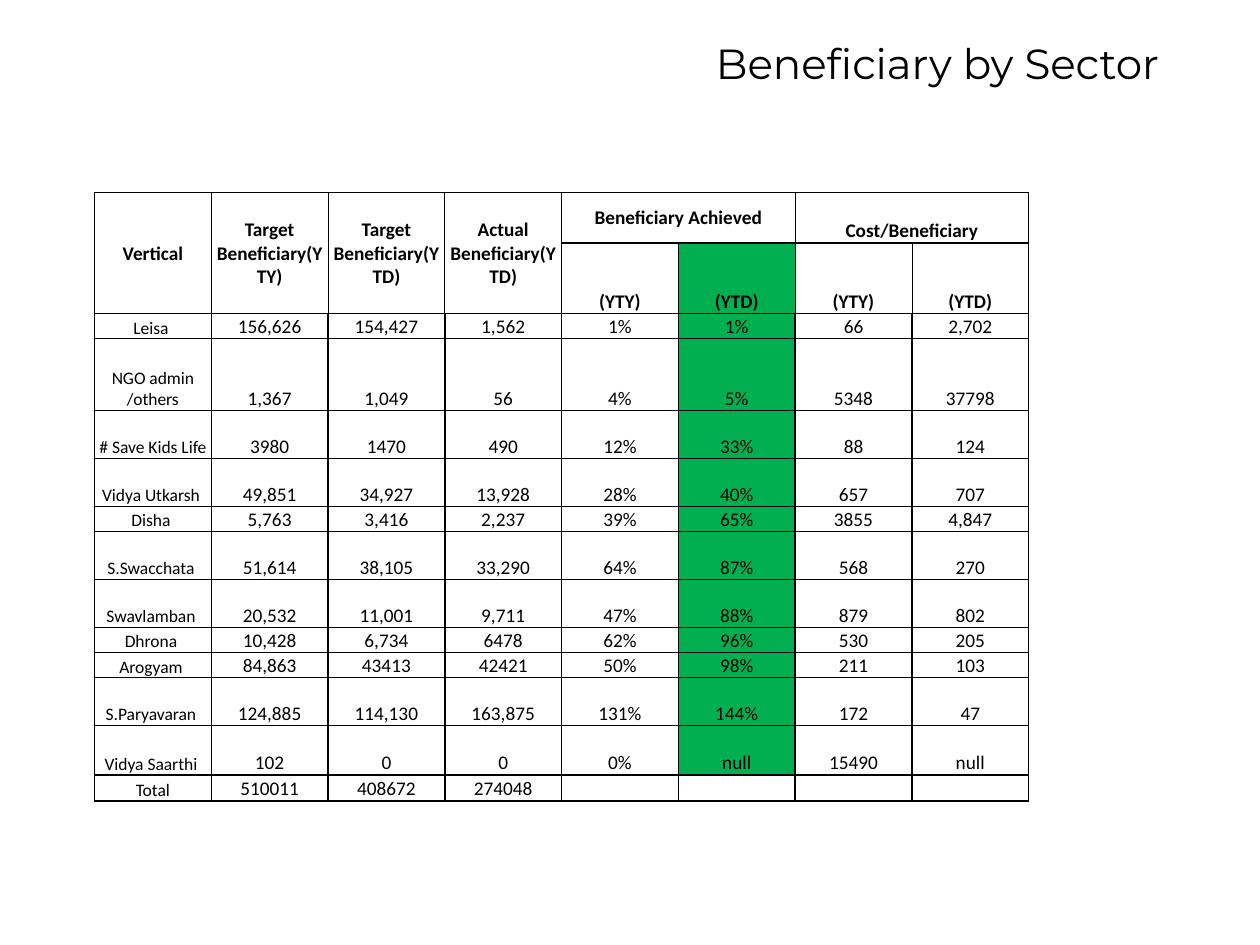
from lxml import etree
from pptx import Presentation
from pptx.dml.color import RGBColor
from pptx.enum.text import MSO_ANCHOR, MSO_AUTO_SIZE, PP_ALIGN
from pptx.oxml.ns import qn
from pptx.util import Pt

CENTER = PP_ALIGN.CENTER
MIDDLE, BOTTOM = MSO_ANCHOR.MIDDLE, MSO_ANCHOR.BOTTOM
GROW = MSO_AUTO_SIZE.SHAPE_TO_FIT_TEXT
BLACK, GREEN = "000000", "00B050"


def add_run(paragraph, text, size, font, bold=False):
    run = paragraph.add_run()
    run.text = text
    run.font.size = Pt(size)
    run.font.name = font
    run.font.bold = bold
    run.font.color.rgb = RGBColor.from_string(BLACK)


def add_border(cell, side, width):
    line = etree.SubElement(cell._tc.get_or_add_tcPr(), qn("a:ln" + side), w=str(Pt(width)))
    fill = etree.SubElement(line, qn("a:solidFill"))
    etree.SubElement(fill, qn("a:srgbClr"), val=BLACK)


rows = [
    ["Vertical", "Target Beneficiary(YTY)", "Target Beneficiary(YTD)", "Actual Beneficiary(YTD)",
     "Beneficiary Achieved", "", "Cost/Beneficiary", ""],
    ["", "", "", "", "(YTY)", "(YTD)", "(YTY)", "(YTD)"],
    ["Leisa ", "156,626", "154,427", "1,562", "1%", "1%", "66", "2,702"],
    ["NGO admin /others", "1,367", "1,049", "56", "4%", "5%", "5348", "37798"],
    ["# Save Kids Life", "3980", "1470", "490", "12%", "33%", "88", "124"],
    ["Vidya Utkarsh ", "49,851", "34,927", "13,928", "28%", "40%", "657", "707"],
    ["Disha ", "5,763", "3,416", "2,237", "39%", "65%", "3855", "4,847"],
    ["S.Swacchata ", "51,614", "38,105", "33,290", "64%", "87%", "568", "270"],
    ["Swavlamban ", "20,532", "11,001", "9,711", "47%", "88%", "879", "802"],
    ["Dhrona ", "10,428", "6,734", "6478", "62%", "96%", "530", "205"],
    ["Arogyam ", "84,863", "43413", "42421", "50%", "98%", "211", "103"],
    ["S.Paryavaran ", "124,885", "114,130", "163,875", "131%", "144%", "172", "47"],
    ["Vidya Saarthi ", "102", "0", "0", "0%", "null", "15490", "null"],
    ["Total", "510011", "408672", "274048", "", "", "", ""],
]
row_heights = [28.8, 15.1, 14.4, 41, 27.4, 27.4, 14.4, 27.4, 27.4, 14.4, 14.4, 27.4, 28.1, 15.1]
column_width = 66.75
last_row, last_column = len(rows) - 1, len(rows[0]) - 1

presentation = Presentation()
presentation.slide_width, presentation.slide_height = Pt(720), Pt(540)
slide = presentation.slides.add_slide(presentation.slide_layouts[6])

title = slide.shapes.add_textbox(Pt(402), Pt(18), Pt(318), Pt(36.35))
title.text_frame.word_wrap = True
title.text_frame.auto_size = GROW
add_run(title.text_frame.paragraphs[0], "Beneficiary by Sector", 24, "Montserrat")

table = slide.shapes.add_table(len(rows), len(rows[0]), Pt(54), Pt(110), Pt(534), Pt(sum(row_heights))).table
table.first_row = False
table.horz_banding = False
for column in table.columns:
    column.width = Pt(column_width)
for row, height in zip(table.rows, row_heights):
    row.height = Pt(height)

for column in range(4):
    table.cell(0, column).merge(table.cell(1, column))
for column in (4, 6):
    table.cell(0, column).merge(table.cell(0, column + 1))

for r, values in enumerate(rows):
    header = r < 2
    for c, text in enumerate(values):
        cell = table.cell(r, c)
        cell.margin_left = cell.margin_right = cell.margin_top = Pt(0.7)
        cell.margin_bottom = Pt(0)
        cell.vertical_anchor = MIDDLE if r == 0 and c < 6 else BOTTOM

        thick_left = not header or c < 2 or (r, c) == (1, 4)
        thick_right = not header or c in (0, last_column) or (r, c) == (0, 6)
        add_border(cell, "L", 1 if thick_left else 0.5)
        add_border(cell, "R", 1 if thick_right else 0.5)
        add_border(cell, "T", 1 if r < 3 or r == last_row else 0.5)
        add_border(cell, "B", 1 if header or r >= last_row - 1 else 0.5)

        if c == 5 and 0 < r < last_row:
            cell.fill.solid()
            cell.fill.fore_color.rgb = RGBColor.from_string(GREEN)
        else:
            cell.fill.background()

        paragraph = cell.text_frame.paragraphs[0]
        paragraph.alignment = CENTER
        if text:
            add_run(paragraph, text, 10 if c == 0 and not header else 11, "Calibri", header)
        else:
            etree.SubElement(paragraph._p, qn("a:endParaRPr"), sz="1100")

presentation.save("out.pptx")
